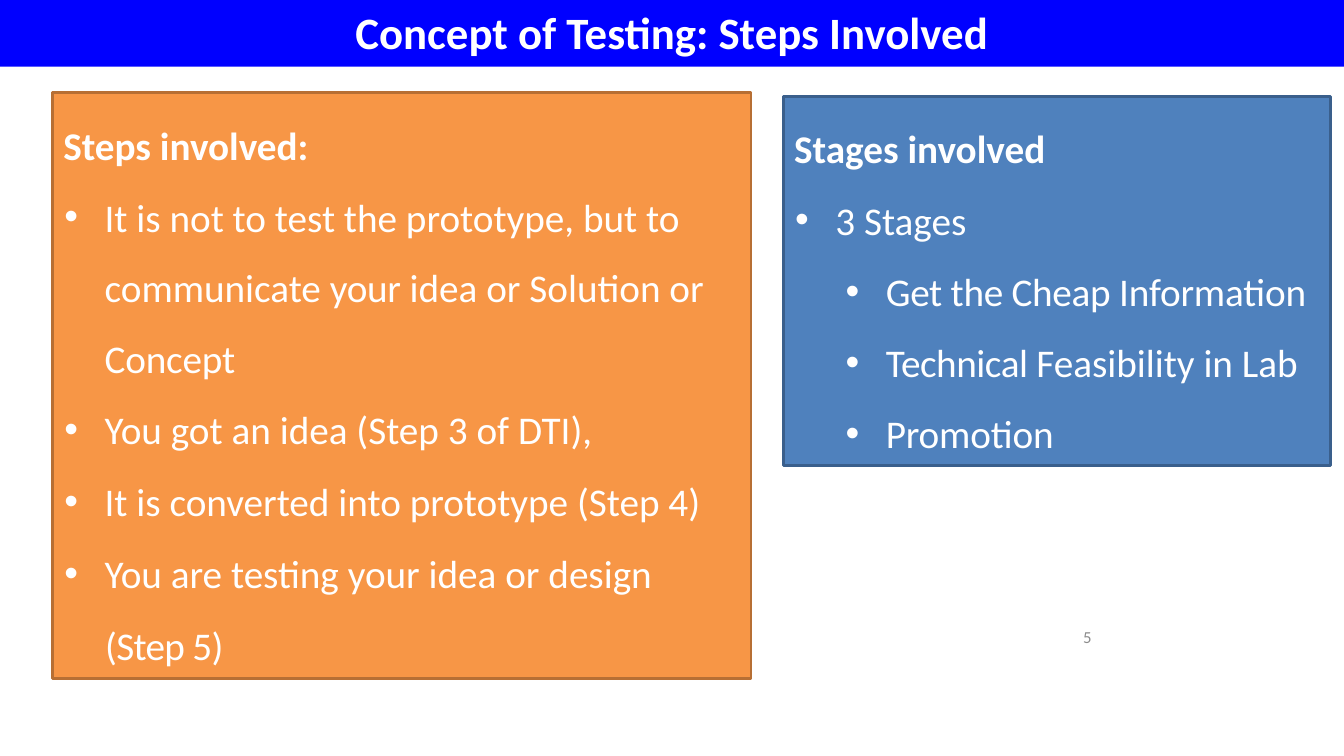
import pptx
import pptx.util
import pptx.dml.color
import pptx.enum.shapes
import pptx.enum.text
import pptx.oxml.ns
import lxml.etree

Pt = pptx.util.Pt
ALIGN = pptx.enum.text.PP_ALIGN
ANCHOR = pptx.enum.text.MSO_ANCHOR

COLORS = {
    "title": "0000FF",
    "steps": "F79646",
    "steps_edge": "B76F34",
    "stages": "4F81BD",
    "stages_edge": "3A5F8C",
    "text": "FFFFFF",
    "number": "8C8C8C",
}

TITLE = "Concept of Testing: Steps Involved"
PAGE_NUMBER = "5"

HEADING = {"bold": True, "left": 0.7}
BULLET = {"bullet": True, "left": 30.2, "hang": -28.8}
SUB_BULLET = {"bullet": True, "left": 66.2, "hang": -28.8, "level": 1}
CONTINUED = {"left": 30.6}

STEPS = [
    ([("Steps involved:", 0)], HEADING),
    ([("It is not to test the prototype, but to communicate ", 0), ("your ", -0.2),
      ("idea or Solution or ", 0), ("Concept", -0.1)], BULLET),
    ([("You got an idea (Step 3 of DTI),", 0)], BULLET),
    ([("It is converted into prototype (Step 4)", 0)], BULLET),
    ([("You are testing your idea or design", 0)], BULLET),
    ([("(Step 5)", -0.5)], CONTINUED),
]
STAGES = [
    ([("Stages involved", 0)], HEADING),
    ([("3 Stages", 0)], BULLET),
    ([("Get the Cheap ", -0.2), ("Information", -0.1)], SUB_BULLET),
    ([("Technical ", -0.3), ("Feasibility in Lab", 0)], SUB_BULLET),
    ([("Promotion", -0.1)], SUB_BULLET),
]
PANELS = [
    (STEPS, (37.5, 66.2, 499, 418.3), "steps", 0.8),
    (STAGES, (559.5, 68.8, 391, 263.5), "stages", 0.4),
]


def rgb(name):
    return pptx.dml.color.RGBColor.from_string(COLORS[name])


def add_box(page, place, fill, edge=None):
    box = page.shapes.add_shape(
        pptx.enum.shapes.MSO_SHAPE.RECTANGLE, *[Pt(length) for length in place])
    box.shadow.inherit = False
    box.fill.solid()
    box.fill.fore_color.rgb = rgb(fill)
    if edge:
        box.line.color.rgb = rgb(edge)
        box.line.width = Pt(2)
    else:
        box.line.fill.background()
    box.text_frame.word_wrap = True
    return box


def write(para, text, *, size=28, color="text", bold=False, align=ALIGN.LEFT,
          left=0, hang=0, level=0, bullet=False, spacing=None, before=0):
    para.alignment = align
    para.level = level
    para.space_before = Pt(before)
    if spacing:
        para.line_spacing = spacing
    properties = para._p.get_or_add_pPr()
    properties.set("marL", str(int(Pt(left))))
    properties.set("indent", str(int(Pt(hang))))
    if bullet:
        font = lxml.etree.SubElement(properties, pptx.oxml.ns.qn("a:buFont"))
        font.set("typeface", "Arial")
        mark = lxml.etree.SubElement(properties, pptx.oxml.ns.qn("a:buChar"))
        mark.set("char", "•")
    for words, tracking in text:
        span = para.add_run()
        span.text = words
        span.font.name = "Calibri"
        span.font.size = Pt(size)
        span.font.bold = bold
        span.font.color.rgb = rgb(color)
        if tracking:
            span._r.get_or_add_rPr().set("spc", str(round(tracking * 100)))


def main():
    deck = pptx.Presentation()
    deck.slide_width, deck.slide_height = Pt(960), Pt(540)
    page = deck.slides.add_slide(deck.slide_layouts[6])

    number = page.shapes.add_textbox(Pt(766), Pt(443.5), Pt(13.7), Pt(27.4))
    frame = number.text_frame
    frame.margin_left = frame.margin_right = frame.margin_top = frame.margin_bottom = 0
    frame.vertical_anchor = ANCHOR.MIDDLE
    frame.word_wrap = True
    write(frame.paragraphs[0], [(PAGE_NUMBER, -0.4)], size=12, color="number",
          align=ALIGN.RIGHT, left=5, spacing=Pt(9.2))

    title = add_box(page, (0, -2, 960, 49.7), "title")
    title.text_frame.vertical_anchor = ANCHOR.MIDDLE
    write(title.text_frame.paragraphs[0], [(TITLE, 0)], size=32, bold=True,
          align=ALIGN.CENTER)

    for lines, place, name, gap in PANELS:
        frame = add_box(page, place, name, name + "_edge").text_frame
        frame.vertical_anchor = ANCHOR.TOP
        for index, (text, style) in enumerate(lines):
            para = frame.add_paragraph() if index else frame.paragraphs[0]
            write(para, text, spacing=1.5, before=gap if index else 0, **style)

    deck.save("out.pptx")


if __name__ == "__main__":
    main()
